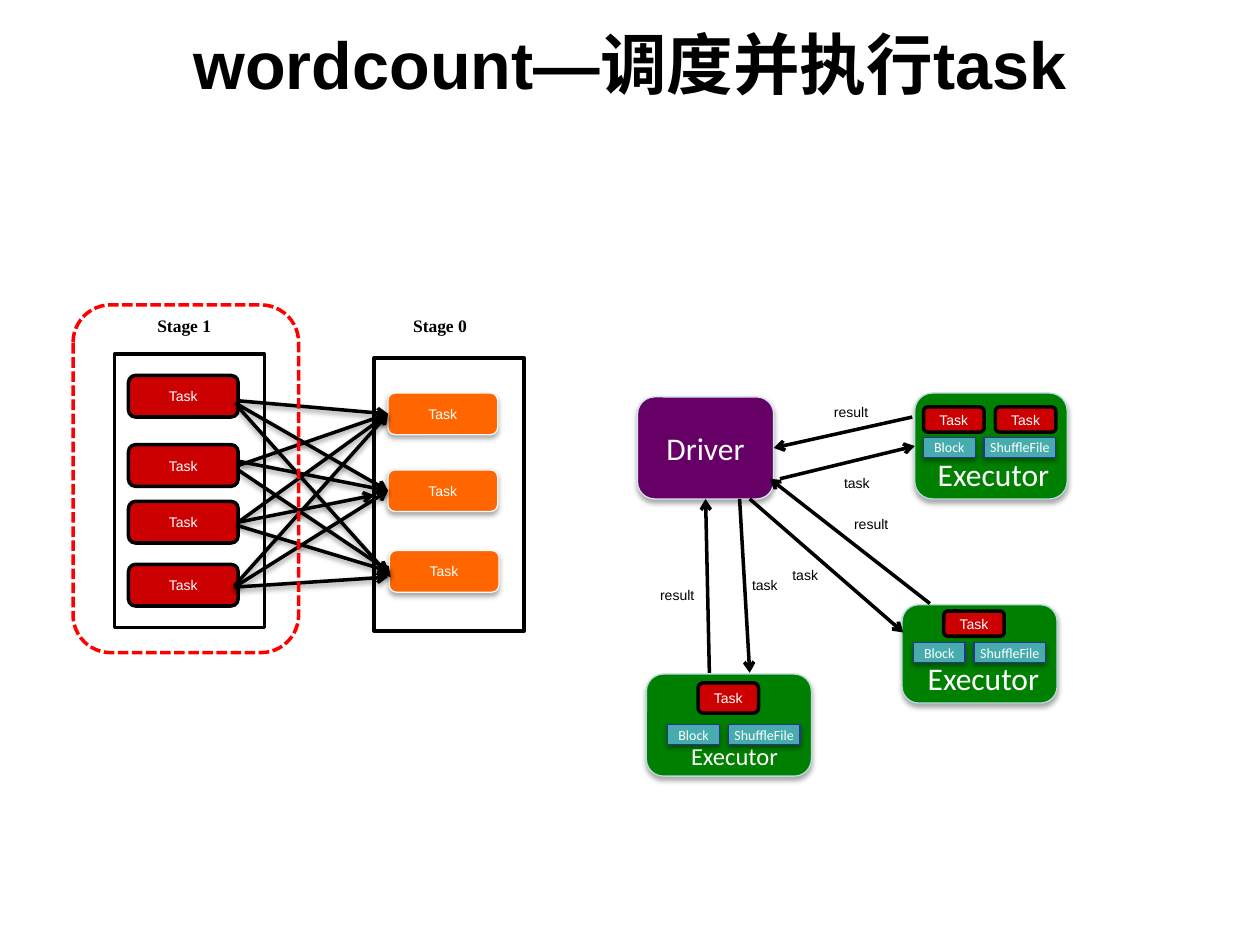
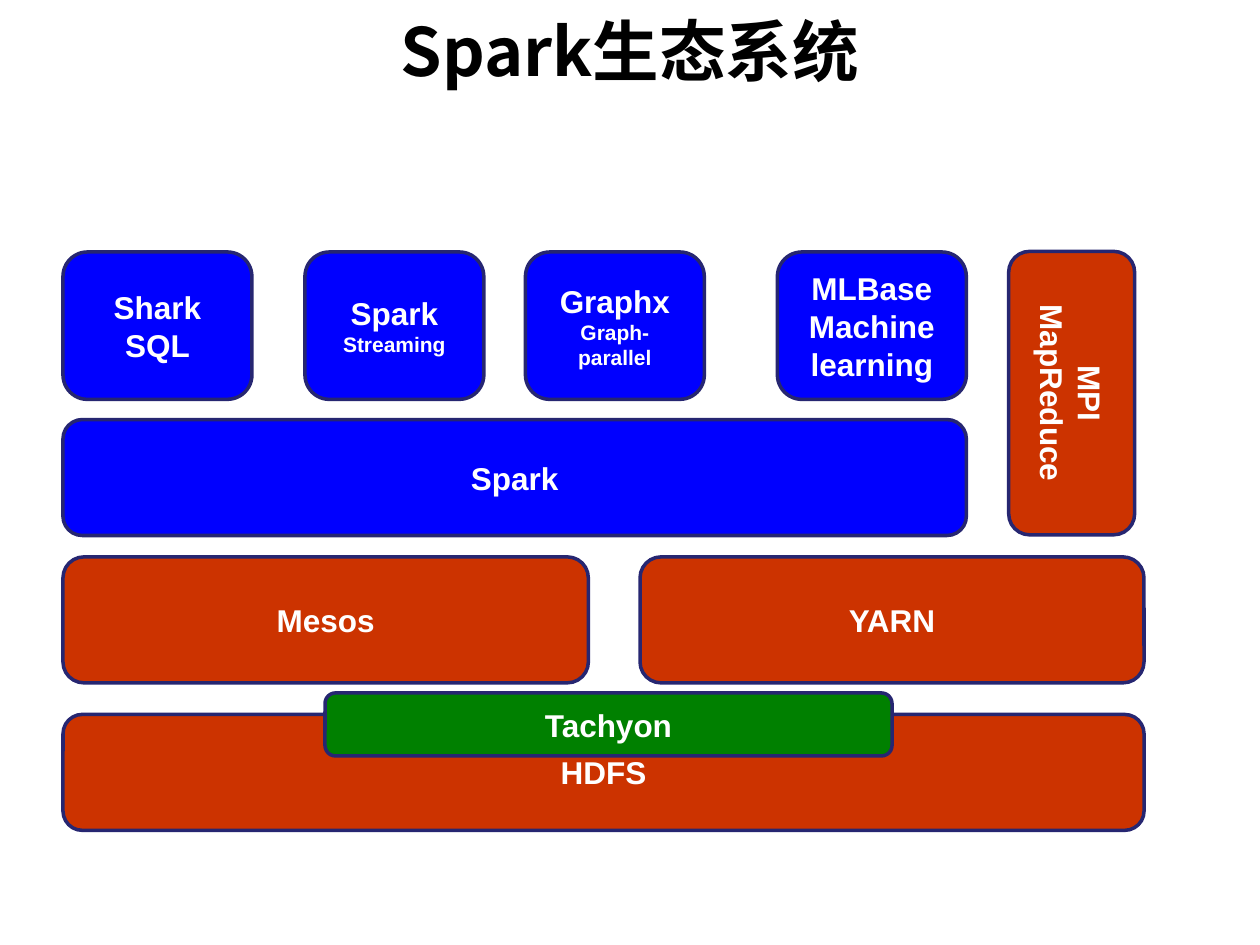
import pptx
import pptx.dml.color
import pptx.enum.dml
import pptx.enum.shapes
import pptx.enum.text
import pptx.oxml
import pptx.oxml.ns
import pptx.util

Inches = pptx.util.Inches
Pt = pptx.util.Pt
RGB = pptx.dml.color.RGBColor
Kind = pptx.enum.shapes.MSO_SHAPE
Align = pptx.enum.text.PP_ALIGN
Anchor = pptx.enum.text.MSO_ANCHOR
Fit = pptx.enum.text.MSO_AUTO_SIZE
qn = pptx.oxml.ns.qn

BLACK = RGB(0x00, 0x00, 0x00)
WHITE = RGB(0xFF, 0xFF, 0xFF)
RED = RGB(0xCC, 0x00, 0x00)
ALERT = RGB(0xFF, 0x00, 0x00)
ORANGE = RGB(0xFF, 0x66, 0x00)
PALE = RGB(0xF9, 0xF9, 0xF9)
GREEN = RGB(0x00, 0x80, 0x00)
MINT = RGB(0xB6, 0xDC, 0xDF)
PURPLE = RGB(0x66, 0x00, 0x66)
ICE = RGB(0xD5, 0xE8, 0xEA)
TEAL = RGB(0x46, 0xAC, 0xAE)
INDIGO = RGB(0x2F, 0x2F, 0x98)
BLUE = RGB(0x00, 0x00, 0xFF)
NAVY = RGB(0x26, 0x26, 0x71)
RUST = RGB(0xCC, 0x33, 0x00)

SANS, HUMAN, SERIF = "Arial", "Calibri", "Times New Roman"
HAN = "Noto Sans CJK SC"
TOP, LEFT, BOTTOM, RIGHT = range(4)


class Deck:
    def __init__(self):
        self.file = pptx.Presentation()
        self.file.slide_width = Inches(10)
        self.file.slide_height = Inches(7.5)
        self.slide = None

    def start(self, words, high, font):
        self.slide = self.file.slides.add_slide(self.file.slide_layouts[5])
        title = self.slide.shapes.title
        title.left, title.top = Inches(0), Inches(0)
        title.width, title.height = Inches(10), Inches(high)
        self.put(title, [(words, 38)], font, BLACK, True)
        for mark in title._element.iter(qn("a:rPr")):
            east = pptx.oxml.parse_xml(
                f'<a:ea {pptx.oxml.ns.nsdecls("a")} typeface="{HAN}"/>')
            mark.find(qn("a:latin")).addnext(east)

    def put(self, shape, lines, font, color, bold=False, align=Align.CENTER,
            anchor=Anchor.MIDDLE, wrap=True, pad=None):
        frame = shape.text_frame
        frame.auto_size = Fit.NONE
        frame.word_wrap = wrap
        frame.vertical_anchor = anchor
        if pad is not None:
            frame.margin_left = frame.margin_right = Inches(pad)
        for rank, (words, size) in enumerate(lines):
            para = frame.add_paragraph() if rank else frame.paragraphs[0]
            para.alignment = align
            run = para.add_run()
            run.text = words
            run.font.name = font
            run.font.size = Pt(size)
            run.font.bold = bold
            run.font.color.rgb = color

    def shade(self, shape, alpha, dist):
        props = shape._element.spPr
        for old in props.findall(qn("a:effectLst")):
            props.remove(old)
        props.append(pptx.oxml.parse_xml(
            f'<a:effectLst {pptx.oxml.ns.nsdecls("a")}>'
            f'<a:outerShdw blurRad="{Pt(3.1)}" dist="{Pt(dist)}" dir="5400000" '
            f'rotWithShape="0"><a:srgbClr val="{BLACK}">'
            f'<a:alpha val="{alpha}000"/></a:srgbClr></a:outerShdw></a:effectLst>'))

    def box(self, place, fill, edge, width=2, kind=Kind.ROUNDED_RECTANGLE,
            shade=False):
        shape = self.slide.shapes.add_shape(kind, *map(Inches, place))
        shape.shadow.inherit = False
        if fill is None:
            shape.fill.background()
        else:
            shape.fill.solid()
            shape.fill.fore_color.rgb = fill
        shape.line.color.rgb = edge
        shape.line.width = Pt(width)
        if shade:
            self.shade(shape, 35, 1.8)
        return shape

    def label(self, place, words, size, font, color, bold=False,
              align=Align.LEFT, wrap=False):
        shape = self.slide.shapes.add_textbox(*map(Inches, place))
        self.put(shape, [(words, size)], font, color, bold, align,
                 Anchor.TOP, wrap)

    def task(self, place, fill=RED, edge=BLACK, width=2, shade=False):
        shape = self.box(place, fill, edge, width, shade=shade)
        self.put(shape, [("Task", 8)], SANS, WHITE, wrap=False, pad=0)
        return shape

    def chip(self, place, words):
        shape = self.box(place, TEAL, INDIGO, 0.75, Kind.RECTANGLE, True)
        self.put(shape, [(words, 8)], HUMAN, WHITE, wrap=False, pad=0)

    def host(self, place, name, size, chips, tasks):
        shape = self.box(place, GREEN, MINT, 0.75, shade=True)
        self.label(name, "Executor", size, HUMAN, WHITE, align=Align.CENTER)
        left, top = chips
        self.chip((left, top, 0.41, 0.16), "Block")
        self.chip((left + 0.48, top, 0.57, 0.16), "ShuffleFile")
        for spot in tasks:
            self.task(spot)
        return shape

    def block(self, place, fill, *lines, turn=0):
        shape = self.box(place, fill, NAVY)
        shape.rotation = turn
        self.put(shape, lines, SANS, WHITE, True)

    def arrow(self, start, end, head=None, tail=None, shade=False):
        line = self.slide.shapes.add_connector(
            pptx.enum.shapes.MSO_CONNECTOR.STRAIGHT,
            *map(Inches, (*start, *end)))
        if head:
            line.begin_connect(*head)
        if tail:
            line.end_connect(*tail)
        line.line.color.rgb = BLACK
        line.line.width = Pt(2)
        props = line._element.spPr
        props.find(qn("a:ln")).append(pptx.oxml.parse_xml(
            f'<a:tailEnd {pptx.oxml.ns.nsdecls("a")} type="arrow"/>'))
        if shade:
            self.shade(line, 38, 1.6)
        else:
            props.append(pptx.oxml.parse_xml(
                f'<a:effectLst {pptx.oxml.ns.nsdecls("a")}/>'))


def draw_stages(deck):
    for left, top in ((0.91, 2.81), (2.97, 2.84)):
        deck.box((left, top, 1.19, 2.17), WHITE, BLACK, kind=Kind.RECTANGLE)
    maps = [deck.task((1.02, top, 0.87, 0.33))
            for top in (2.98, 3.53, 3.98, 4.48)]
    sums = [deck.task((left, top, 0.87, 0.33), ORANGE, PALE, 0.75, True)
            for left, top in ((3.08, 3.12), (3.08, 3.73), (3.09, 4.37))]

    first, second, third = ((shape, LEFT) for shape in sums)
    from_two, from_three = ((shape, RIGHT) for shape in maps[1:3])
    links = [
        ((1.88, 3.18), (3.08, 3.28), None, first),
        ((1.87, 3.2), (3.08, 3.9), None, second),
        ((1.89, 3.23), (3.1, 4.58), None, None),
        ((1.88, 3.68), (3.08, 3.28), from_two, first),
        ((1.88, 4.14), (3.08, 3.28), from_three, first),
        ((1.89, 3.66), (3.08, 3.9), None, second),
        ((1.89, 3.73), (3.09, 4.54), None, third),
        ((1.87, 4.15), (2.97, 3.93), from_three, None),
        ((1.88, 4.17), (3.09, 4.54), None, third),
        ((1.86, 4.65), (3.08, 3.28), None, first),
        ((1.86, 4.66), (3.08, 3.9), None, second),
        ((1.86, 4.66), (3.08, 4.58), None, None),
    ]
    for link in links:
        deck.arrow(*link, shade=True)
    for left, width, words in ((1.15, 0.65, "Stage 1"), (3.18, 0.81, "Stage 0")):
        deck.label((left, 2.45, width, 0.27), words, 10, SERIF, BLACK, True)


def draw_hosts(deck):
    deck.host((5.13, 5.35, 1.31, 0.81), (5.38, 5.83, 0.9, 0.34), 14,
              (5.3, 5.75), [(5.54, 5.42, 0.48, 0.24)])
    upper = deck.host((7.26, 3.12, 1.21, 0.84), (7.33, 3.56, 1.11, 0.4), 18,
                      (7.33, 3.47),
                      [(left, 3.23, 0.48, 0.2) for left in (7.33, 7.9)])
    deck.host((7.16, 4.8, 1.23, 0.78), (7.25, 5.18, 1.11, 0.4), 18,
              (7.25, 5.1), [(7.49, 4.85, 0.48, 0.2)])
    driver = deck.box((5.06, 3.15, 1.08, 0.81), PURPLE, ICE, 0.75, shade=True)
    deck.put(driver, [("Driver", 18)], HUMAN, WHITE)

    deck.arrow((7.24, 3.31), (6.14, 3.55), tail=(driver, RIGHT))
    deck.arrow((7.38, 4.79), (6.11, 3.8))
    deck.arrow((5.63, 5.34), (5.6, 3.96), tail=(driver, BOTTOM))
    deck.arrow((6.19, 3.8), (7.26, 3.54), tail=(upper, LEFT))
    deck.arrow((5.95, 3.96), (7.17, 5.02))
    deck.arrow((5.87, 3.96), (5.95, 5.34))
    notes = {
        ("result", 0.48): ((6.52, 3.15), (6.68, 4.04), (5.14, 4.61)),
        ("task", 0.41): ((6.6, 3.72), (6.19, 4.45), (5.87, 4.53)),
    }
    for (words, width), spots in notes.items():
        for spot in spots:
            deck.label((*spot, width, 0.24), words, 8, SANS, BLACK)


def draw_stack(deck):
    tools = [
        (0.5, 1.5, [("Shark", 18), ("SQL", 18)]),
        (2.42, 1.42, [("Spark", 18), ("Streaming", 12)]),
        (4.17, 1.42, [("Graphx", 18), ("Graph-parallel", 12)]),
        (6.17, 1.5, [("MLBase", 18), ("Machine", 18), ("learning", 18)]),
    ]
    for left, width, lines in tools:
        deck.block((left, 2, width, 1.17), BLUE, *lines)
    deck.block((7.38, 2.62, 2.25, 1), RUST, ("MPI", 18), ("MapReduce", 18),
               turn=90)
    layers = [
        ("Spark", BLUE, (0.5, 3.33, 7.17, 0.92)),
        ("Mesos", RUST, (0.5, 4.42, 4.17, 1)),
        ("YARN", RUST, (5.08, 4.42, 4, 1)),
        ("HDFS", RUST, (0.5, 5.67, 8.58, 0.92)),
        ("Tachyon", GREEN, (2.58, 5.5, 4.5, 0.5)),
    ]
    for words, fill, place in layers:
        deck.block(place, fill, (words, 18))


def main():
    deck = Deck()
    deck.start("wordcount—调度并执行task", 1, SANS)
    draw_stages(deck)
    draw_hosts(deck)
    frame = deck.box((0.58, 2.42, 1.79, 2.76), None, ALERT)
    frame.line.dash_style = pptx.enum.dml.MSO_LINE.SQUARE_DOT

    deck.start("Spark生态系统", 0.79, HAN)
    draw_stack(deck)
    deck.file.save("out.pptx")


if __name__ == "__main__":
    main()
